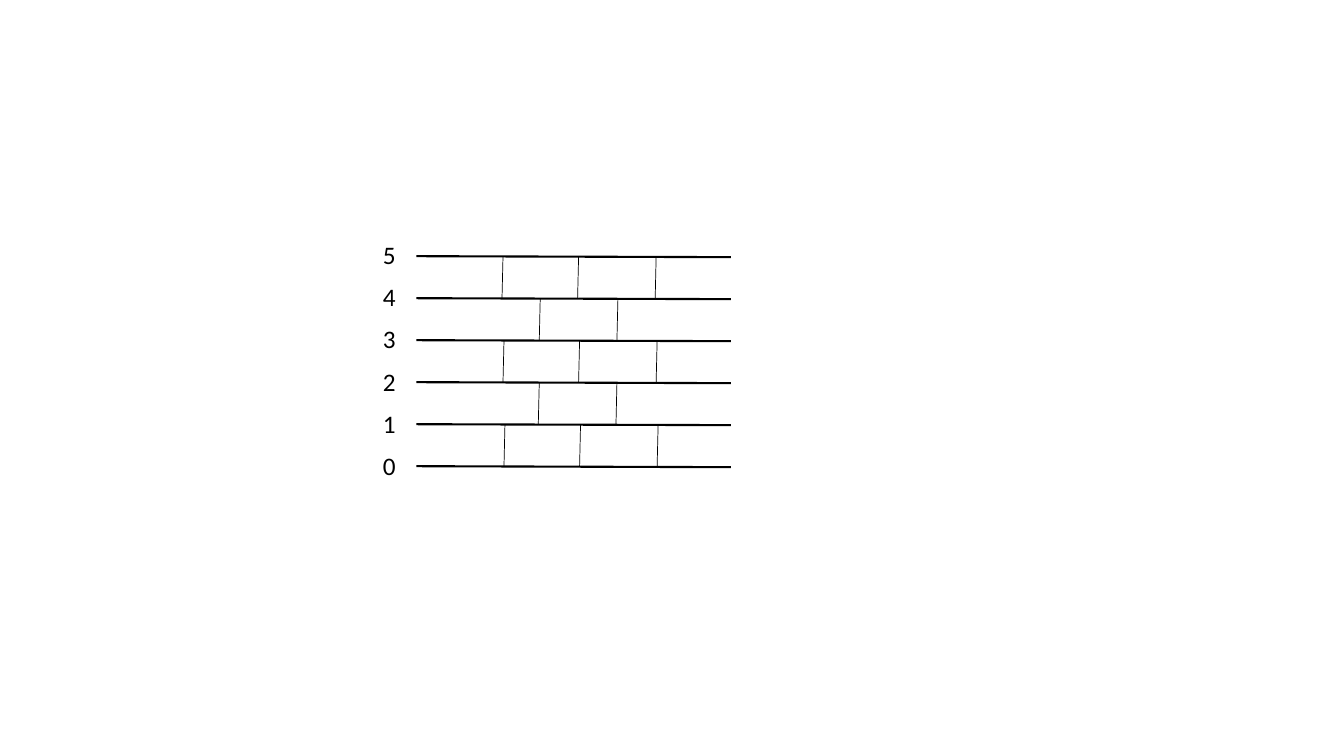
from dataclasses import dataclass

from lxml.etree import SubElement
from pptx import Presentation
from pptx.dml.color import RGBColor
from pptx.enum.shapes import MSO_CONNECTOR as Connector
from pptx.enum.text import MSO_AUTO_SIZE as AutoSize
from pptx.oxml.ns import qn
from pptx.shapes.shapetree import GroupShapes
from pptx.util import Pt


@dataclass(frozen=True)
class Theme:
    ink: RGBColor = RGBColor(0, 0, 0)
    font: str = "Calibri"
    label_size: float = 18
    rail_weight: float = 1.5
    rung_weight: float = 0.5


@dataclass(frozen=True)
class Line:
    x: float
    y: float
    dx: float
    dy: float
    weight: float


@dataclass(frozen=True)
class Course:
    """Rungs between one rail and the next."""
    gap: int
    columns: tuple[float, ...]
    shift: float


THEME = Theme()

RAIL_COUNT = 6
RAIL_LEFT, RAIL_TOP, RAIL_LENGTH = 297.4, 183, 224.6
RAIL_PITCH = 30
SLANT = 0.7

LABEL_LEFT, LABEL_TOP, LABEL_PITCH = 266.4, 167.1, 30.24
LABEL_WIDTH, LABEL_HEIGHT = 16.6, 29

WIDE_COLUMNS = (359.3, 413.3, 468.7)
NARROW_COLUMNS = (385.9, 441.4)
COURSES = [
    Course(0, WIDE_COLUMNS, 0),
    Course(1, NARROW_COLUMNS, 0),
    Course(2, WIDE_COLUMNS, SLANT),
    Course(3, NARROW_COLUMNS, -SLANT),
    Course(4, WIDE_COLUMNS, 2 * SLANT),
]


def draw_line(shapes: GroupShapes, line: Line) -> None:
    connector = shapes.add_connector(
        Connector.STRAIGHT, Pt(line.x), Pt(line.y),
        Pt(line.x + line.dx), Pt(line.y + line.dy))
    connector.line.color.rgb = THEME.ink
    connector.line.width = Pt(line.weight)
    SubElement(connector.element.spPr, qn("a:effectLst"))


def draw_label(shapes: GroupShapes, text: str, top: float) -> None:
    box = shapes.add_textbox(
        Pt(LABEL_LEFT), Pt(top), Pt(LABEL_WIDTH), Pt(LABEL_HEIGHT))
    frame = box.text_frame
    frame.word_wrap = True
    frame.auto_size = AutoSize.SHAPE_TO_FIT_TEXT
    frame.text = text
    font = frame.paragraphs[0].runs[0].font
    font.name = THEME.font
    font.size = Pt(THEME.label_size)
    font.color.rgb = THEME.ink


presentation = Presentation()
presentation.slide_width, presentation.slide_height = Pt(960), Pt(540)
slide = presentation.slides.add_slide(presentation.slide_layouts[6])
network = slide.shapes.add_group_shape().shapes

# Horizontal rails
for row in range(RAIL_COUNT):
    draw_line(network, Line(RAIL_LEFT, RAIL_TOP + row * RAIL_PITCH,
                            RAIL_LENGTH, SLANT, THEME.rail_weight))

# Rungs, staggered like bricks
for course in COURSES:
    for column in course.columns:
        draw_line(network, Line(column + course.shift,
                                RAIL_TOP + course.gap * RAIL_PITCH,
                                -SLANT, RAIL_PITCH, THEME.rung_weight))

# Rail numbers, counted from the bottom
for row in range(RAIL_COUNT):
    draw_label(network, str(RAIL_COUNT - 1 - row),
               LABEL_TOP + row * LABEL_PITCH)

presentation.save("out.pptx")
